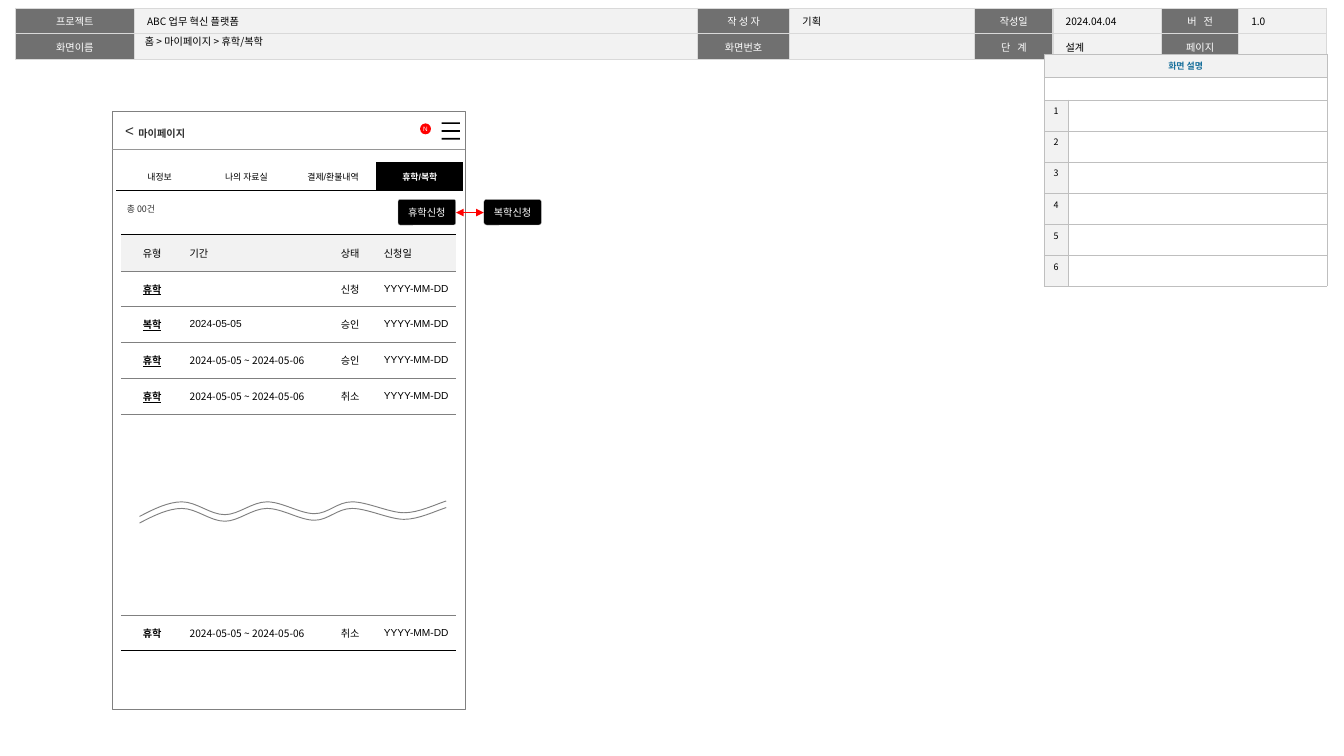
from lxml import etree
from pptx import Presentation
from pptx import util as u
from pptx.dml.color import RGBColor
from pptx.enum import shapes, text
from pptx.oxml import ns

NOTO, ARIAL = "Noto Sans CJK KR", "Arial"
LEFT, CENTER = text.PP_ALIGN.LEFT, text.PP_ALIGN.CENTER
TOP, MIDDLE = text.MSO_ANCHOR.TOP, text.MSO_ANCHOR.MIDDLE
BLACK, WHITE, RED = "000000", "FFFFFF", "FF0000"
DARK, PALE, INK, RULE = "707070", "F2F2F2", "2E2E2E", "808080"


def write(frame, words, size=8, font=NOTO, color=BLACK, bold=False,
          underline=False, align=LEFT, spacing=1.0):
    para = frame.paragraphs[0]
    para.alignment, para.line_spacing = align, spacing
    if not words:
        etree.SubElement(para._p, ns.qn("a:endParaRPr"), sz=str(size * 100))
        return
    span = para.add_run()
    span.text = words
    span.font.size, span.font.name = u.Pt(size), font
    span.font.bold, span.font.underline = bold, underline
    span.font.color.rgb = RGBColor.from_string(color)
    etree.SubElement(span.font._element, ns.qn("a:ea"), typeface=NOTO)


def paint(shape, fill=None, line=None, weight=0.5):
    """Set fill and line of a shape or connector, and remove its shadow."""
    if fill:
        shape.fill.solid()
        shape.fill.fore_color.rgb = RGBColor.from_string(fill)
    elif hasattr(shape, "fill"):
        shape.fill.background()
    if line:
        shape.line.color.rgb = RGBColor.from_string(line)
        shape.line.width = u.Pt(weight)
    else:
        shape.line.fill.background()
    etree.SubElement(shape._element.spPr, ns.qn("a:effectLst"))


deck = Presentation()
deck.slide_width, deck.slide_height = u.Pt(1058.4), u.Pt(595.44)
page = deck.slides.add_slide(deck.slide_layouts[6])

# Phone frame with its top bar
phone = page.shapes.add_shape(shapes.MSO_SHAPE.RECTANGLE, u.Pt(88.6), u.Pt(87.8), u.Pt(277.9), u.Pt(470.9))
paint(phone, line=RULE)
divider = page.shapes.add_connector(shapes.MSO_CONNECTOR.STRAIGHT, u.Pt(88), u.Pt(118), u.Pt(366.5), u.Pt(118))
paint(divider, line="969696")
left, right = u.Pt(347.8), u.Pt(362.2)
menu = page.shapes.build_freeform(left, u.Pt(96.3), scale=1.0)
for bar in range(3):
    top, bottom = u.Pt(96.3 + 6.2 * bar), u.Pt(97.6 + 6.2 * bar)
    if bar:
        menu.move_to(left, top)
    menu.add_line_segments([(left, bottom), (right, bottom), (right, top), (left, top)])
paint(menu.convert_to_shape(), fill=BLACK)

# Tables: each cell is (words, fill, anchor, margins, borders, text format)
grid = dict.fromkeys("LRTB", ("D9D9D9", 1))
header_rows = []
for labels in (["프로젝트", "ABC 업무 혁신 플랫폼", "작 성 자", "기획", "작성일", "2024.04.04", "버   전", "1.0"],
               ["화면이름", "", "화면번호", "", "단   계", "설계", "페이지", ""]):
    header_rows.append([
        (words, PALE if i % 2 else DARK, TOP, (10, 3.9, 10, 3.9), grid,
         dict(color=BLACK if i % 2 else WHITE, align=LEFT if i % 2 else CENTER, spacing=1.05))
        for i, words in enumerate(labels)])

tight = (2.9, 3.9, 2.9, 3.6)
tab_row = []
for words in ("내정보", "나의 자료실", "결제/환불내역", "휴학/복학"):
    active = words == "휴학/복학"
    tab_row.append((words, BLACK if active else WHITE, MIDDLE, tight, {"B": (BLACK, 1)},
                    dict(size=7, font=ARIAL, color=WHITE if active else BLACK, bold=active, align=CENTER)))

thin = dict.fromkeys("LRTB", ("BFBFBF", 0.25))
small = dict(size=7, align=CENTER)
blank_note = ("", WHITE, TOP, tight, thin, small)
note_rows = [[("화면 설명", PALE, MIDDLE, tight, thin, dict(small, color="176F9B", bold=True)), blank_note],
             [blank_note, blank_note]]
note_rows += [[(str(n), PALE, TOP, tight, thin, small), blank_note] for n in range(1, 7)]

DATE, PERIOD = "YYYY-MM-DD", "2024-05-05 ~ 2024-05-06"
records = [["", "유형", "기간", "상태", "신청일"],
           ["", "휴학", "", "신청", DATE],
           ["", "복학", "2024-05-05", "승인", DATE],
           ["", "휴학", PERIOD, "승인", DATE],
           ["", "휴학", PERIOD, "취소", DATE],
           [""] * 5,
           ["", "휴학", PERIOD, "취소", DATE]]
last = len(records) - 1
record_rows = []
for r, record in enumerate(records):
    edges = {"T": (RULE, 0.25) if r else (BLACK, 1), "B": (BLACK, 1) if r == last else (RULE, 0.25)}
    record_rows.append([
        (words, WHITE if r else PALE, MIDDLE, (0 if c == 4 else 5.8, 0, 0, 0), edges,
         dict(font=NOTO if words == PERIOD or (c == 1 and r) else ARIAL,
              bold=c == 1 and r > 0, underline=c == 1 and 0 < r < last))
        for c, words in enumerate(record)])

tables = [
    (12.2, 6.5, [93.6, 443.5, 72.7, 145.7, 61.6, 85.7, 60.5, 69.4], [17.6] * 2, header_rows),
    (91.6, 127.4, [68.3] * 4, [22.6], [tab_row]),
    (822.2, 42.5, [18.9, 204.1], [18] * 2 + [24.5] * 6, note_rows),
    (95.2, 185, [11.5, 36.9, 119.1, 39.6, 56.9], [28.2] * 5 + [158.4, 28.4], record_rows)]
for left, top, widths, heights, rows in tables:
    table = page.shapes.add_table(len(heights), len(widths), u.Pt(left), u.Pt(top),
                                  u.Pt(sum(widths)), u.Pt(sum(heights))).table
    table.first_row = table.horz_banding = False
    for column, width in zip(table.columns, widths):
        column.width = u.Pt(width)
    for r, row in enumerate(rows):
        table.rows[r].height = u.Pt(heights[r])
        for c, (words, fill, anchor, margins, borders, style) in enumerate(row):
            cell = table.cell(r, c)
            cell.vertical_anchor = anchor
            cell.margin_left, cell.margin_top, cell.margin_right, cell.margin_bottom = map(u.Pt, margins)
            for side in "LRTB":
                tint, weight = borders.get(side, (None, 0))
                edge = etree.SubElement(cell._tc.get_or_add_tcPr(), ns.qn("a:ln" + side), w=str(u.Pt(weight)))
                if tint:
                    solid = etree.SubElement(edge, ns.qn("a:solidFill"))
                    etree.SubElement(solid, ns.qn("a:srgbClr"), val=tint)
                else:
                    etree.SubElement(edge, ns.qn("a:noFill"))
            cell.fill.solid()
            cell.fill.fore_color.rgb = RGBColor.from_string(fill)
            write(cell.text_frame, words, **style)
    if rows is note_rows:
        for r in range(2):
            table.cell(r, 0).merge(table.cell(r, 1))

# Plain texts
for words, left, top, width, height, inset, anchor, style in (
        ("홈 > 마이페이지 > 휴학/복학", 106.1, 26.8, 277.2, 11.5, 7.9, MIDDLE, {}),
        ("<", 91.4, 92.2, 23, 21.6, 7.2, TOP, dict(size=12, font=ARIAL, color=INK)),
        ("마이페이지", 108.9, 92.2, 142.6, 20.2, 0, TOP, dict(font=ARIAL, color=INK, bold=True, spacing=1.5)),
        ("총 00건", 92.9, 157, 38.9, 15.8, 7.2, TOP, dict(size=7, color=INK))):
    box = page.shapes.add_textbox(u.Pt(left), u.Pt(top), u.Pt(width), u.Pt(height))
    frame = box.text_frame
    frame.word_wrap, frame.vertical_anchor = True, anchor
    frame.margin_left = frame.margin_right = u.Pt(inset)
    write(frame, words, **style)

# Badge and buttons
ROUND = shapes.MSO_SHAPE.ROUNDED_RECTANGLE
for words, kind, left, top, width, height, radius, fill, line, style in (
        ("N", shapes.MSO_SHAPE.OVAL, 330.8, 97.2, 8.6, 8.6, None, RED, None, dict(size=5, font=ARIAL)),
        ("휴학신청", ROUND, 313.5, 157, 45.4, 20.2, 0.08, BLACK, "BFBFBF", {}),
        ("복학신청", ROUND, 381, 157, 45.4, 20.2, 0.11, BLACK, "BFBFBF", {})):
    button = page.shapes.add_shape(kind, u.Pt(left), u.Pt(top), u.Pt(width), u.Pt(height))
    if radius:
        button.adjustments[0] = radius
    paint(button, fill, line, 0.25)
    frame = button.text_frame
    frame.word_wrap, frame.vertical_anchor = kind == ROUND, MIDDLE
    frame.margin_left = frame.margin_right = frame.margin_top = frame.margin_bottom = 0
    write(frame, words, color=WHITE, align=CENTER, **style)

# Wavy break: start, then two controls and an end for each curve
wave_points = [(109.9, 406.8),
               (121, 401), (132.5, 395.3), (143.3, 395.3),
               (154.8, 395.3), (165.6, 405.4), (177.1, 405.4),
               (187.9, 405.4), (198.7, 395.3), (210.2, 395.3),
               (222.5, 395.3), (236.2, 404.6), (247.7, 404.6),
               (258.5, 404.6), (265.7, 395.3), (277.2, 395.3),
               (289.4, 395.3), (306.7, 403.9), (318.2, 403.9),
               (329.8, 403.9), (342.7, 397.4), (351.4, 394.6)]
for drop, tint, weight in ((3.2, WHITE, 4.5), (0, RULE, 0.75), (5.2, RULE, 0.75)):
    points = [(u.Pt(x), u.Pt(y + drop)) for x, y in wave_points]
    builder = page.shapes.build_freeform(*points[0], scale=1.0)
    builder.add_line_segments(points[1:], close=False)
    wave = builder.convert_to_shape()
    steps = list(wave._element.iter(ns.qn("a:lnTo")))
    for i in range(0, len(steps), 3):
        curve = etree.Element(ns.qn("a:cubicBezTo"))
        steps[i].addprevious(curve)
        for step in steps[i:i + 3]:
            curve.append(step[0])
            step.getparent().remove(step)
    paint(wave, line=tint, weight=weight)

# Arrow between the two buttons
swap = page.shapes.add_connector(shapes.MSO_CONNECTOR.STRAIGHT, u.Pt(359.1), u.Pt(167.4), u.Pt(381), u.Pt(167.4))
paint(swap, line=RED, weight=1)
for tip in ("a:headEnd", "a:tailEnd"):
    etree.SubElement(swap.line._get_or_add_ln(), ns.qn(tip), type="triangle")

deck.save("out.pptx")
